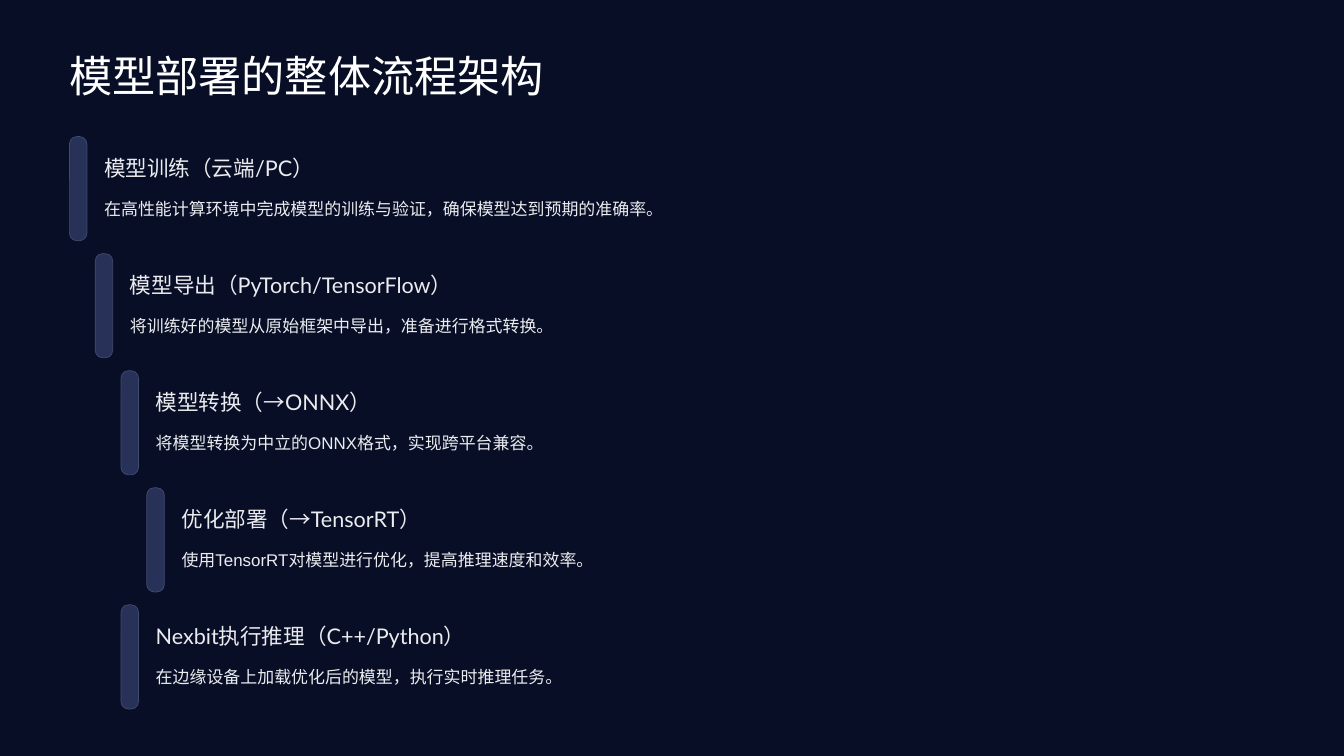
"""Builds the slide on the overall flow of model deployment."""
import pptx
import pptx.dml.color
import pptx.enum.shapes
import pptx.util
from pptx.util import Cm

BACKGROUND = pptx.dml.color.RGBColor(0x08, 0x0E, 0x26)
TITLE = pptx.dml.color.RGBColor(0xFF, 0xFF, 0xFF)
TEXT = pptx.dml.color.RGBColor(0xEB, 0xEC, 0xEF)
BAR_FILL = pptx.dml.color.RGBColor(0x28, 0x31, 0x57)
BAR_LINE = pptx.dml.color.RGBColor(0x41, 0x4A, 0x70)

LEFT = 2.1
RIGHT = 38.55
FIRST_TOP = 4.13
STEP_PITCH = 3.54
INDENT = 0.78
TEXT_OFFSET = 1.05

STEPS = [
    (0, "模型训练（云端/PC）", 7.2,
     "在高性能计算环境中完成模型的训练与验证，确保模型达到预期的准确率。"),
    (1, "模型导出（PyTorch/TensorFlow）", 11.2,
     "将训练好的模型从原始框架中导出，准备进行格式转换。"),
    (2, "模型转换（→ONNX）", 7.2,
     "将模型转换为中立的ONNX格式，实现跨平台兼容。"),
    (3, "优化部署（→TensorRT）", 8.3,
     "使用TensorRT对模型进行优化，提高推理速度和效率。"),
    (2, "Nexbit执行推理（C++/Python）", 10.6,
     "在边缘设备上加载优化后的模型，执行实时推理任务。"),
]


def add_text(slide, text, left, top, width, height, font_name, size, spacing, color):
    """Add one line of text in a box without margins."""
    box = slide.shapes.add_textbox(Cm(left), Cm(top), Cm(width), Cm(height))
    frame = box.text_frame
    frame.margin_left = frame.margin_right = 0
    frame.margin_top = frame.margin_bottom = 0
    frame.word_wrap = True
    frame.text = text
    paragraph = frame.paragraphs[0]
    paragraph.line_spacing = pptx.util.Pt(spacing)
    font = paragraph.runs[0].font
    font.name = font_name
    font.size = pptx.util.Pt(size)
    font.color.rgb = color


def add_bar(slide, left, top):
    """Add the rounded bar that marks a step."""
    bar = slide.shapes.add_shape(
        pptx.enum.shapes.MSO_SHAPE.ROUNDED_RECTANGLE,
        Cm(left), Cm(top), Cm(0.53), Cm(3.15))
    bar.adjustments[0] = 0.42
    bar.shadow.inherit = False
    bar.fill.solid()
    bar.fill.fore_color.rgb = BAR_FILL
    bar.line.color.rgb = BAR_LINE
    bar.line.width = pptx.util.Pt(0.6)


def add_step(slide, index, level, heading, heading_width, description):
    """Add a step: its bar, heading and description."""
    left = LEFT + level * INDENT
    top = FIRST_TOP + index * STEP_PITCH
    text_left = left + TEXT_OFFSET
    add_bar(slide, left, top)
    add_text(slide, heading, text_left, top + 0.52, heading_width, 0.81,
             "Lato", 18.5, 23, TEXT)
    add_text(slide, description, text_left, top + 1.66, RIGHT - text_left, 0.84,
             "Arial", 14.5, 23.5, TEXT)


def main():
    """Build and save the presentation."""
    presentation = pptx.Presentation()
    presentation.slide_width = Cm(40.64)
    presentation.slide_height = Cm(22.86)
    slide = presentation.slides.add_slide(presentation.slide_layouts[6])
    slide.background.fill.solid()
    slide.background.fill.fore_color.rgb = BACKGROUND
    add_text(slide, "模型部署的整体流程架构", LEFT, 1.45, 15, 1.63,
             "Lato", 37, 46, TITLE)
    for index, step in enumerate(STEPS):
        add_step(slide, index, *step)
    presentation.save("out.pptx")


if __name__ == "__main__":
    main()
